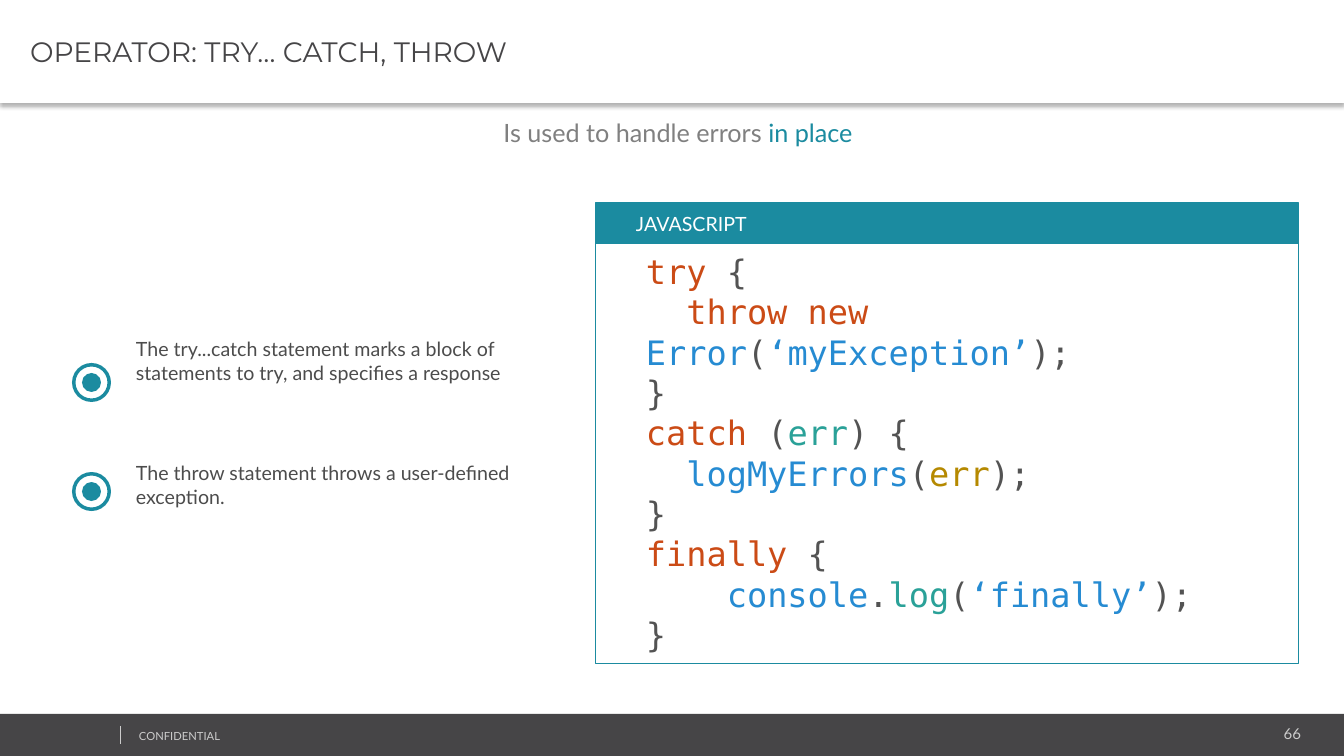
from lxml.etree import SubElement
from pptx import Presentation
from pptx.dml.color import RGBColor
from pptx.enum.shapes import MSO_CONNECTOR, MSO_SHAPE
from pptx.enum.text import MSO_ANCHOR, MSO_AUTO_SIZE, PP_ALIGN
from pptx.oxml.ns import qn
from pptx.util import Pt

PX = 914400 / 100.8
WIDTH, HEIGHT = 1344, 756
TEAL, DARK, PALE, WHITE = "1B8BA0", "464547", "CCCCCC", "FFFFFF"
PLAIN, RED, BLUE, GREEN, GOLD = "535353", "CB4B16", "268BD2", "2AA198", "B58900"

POINTS = [
    (332, 363, "The try...catch statement marks a block of statements to try, "
               "and specifies a response"),
    (456, 472, "The throw statement throws a user-defined exception."),
]

CODE = [
    [("try", RED), (" {", PLAIN)],
    [("  ", PLAIN), ("throw new ", RED), ("Error", BLUE), ("(", PLAIN),
     ("‘myException’", BLUE), (");", PLAIN)],
    [("}", PLAIN)],
    [("catch", RED), (" (", PLAIN), ("err", GREEN), (") {", PLAIN)],
    [("  ", PLAIN), ("logMyErrors", BLUE), ("(", PLAIN), ("err", GOLD), (");", PLAIN)],
    [("}", PLAIN)],
    [("finally", RED), (" {", PLAIN)],
    [("    ", PLAIN), ("console", BLUE), (".", PLAIN), ("log", GREEN), ("(", PLAIN),
     ("‘finally’", BLUE), (");", PLAIN)],
    [("}", PLAIN)],
]


def px(n):
    """Turn pixels into EMU."""
    return round(n * PX)


def rgb(code):
    """Turn a hex string into a colour."""
    return RGBColor.from_string(code)


def style(p, size, color=None, font="Lato", align=PP_ALIGN.LEFT):
    """Set the font and alignment of a paragraph."""
    p.alignment = align
    p.font.name = font
    p.font.size = Pt(size)
    if color:
        p.font.color.rgb = rgb(color)


def add_runs(p, runs):
    """Add coloured runs to a paragraph."""
    for text, color in runs:
        r = p.add_run()
        r.text = text
        r.font.color.rgb = rgb(color)


def add_text(s, x, y, w, h, wrap=True):
    """Add a text box and return its text frame."""
    tf = s.shapes.add_textbox(px(x), px(y), px(w), px(h)).text_frame
    tf.word_wrap = wrap
    return tf


def add_label(s, x, y, w, h, text, size, color, align=PP_ALIGN.LEFT):
    """Add a text box holding one plain paragraph."""
    p = add_text(s, x, y, w, h).paragraphs[0]
    p.text = text
    style(p, size, color, align=align)


def add_box(s, kind, x, y, w, h, fill=None, line=None):
    """Add a flat preset shape."""
    sp = s.shapes.add_shape(kind, px(x), px(y), px(w), px(h))
    sp.shadow.inherit = False
    if fill:
        sp.fill.solid()
        sp.fill.fore_color.rgb = rgb(fill)
    else:
        sp.fill.background()
    if line:
        sp.line.color.rgb = rgb(line)
        sp.line.width = Pt(0.75)
    else:
        sp.line.fill.background()
    return sp


def add_header(s, w, h):
    """Place the title in a white band with a soft shadow below."""
    sp = s.shapes.title
    sp.left, sp.top, sp.width, sp.height = 0, 0, px(w), px(h)
    sp.fill.solid()
    sp.fill.fore_color.rgb = rgb(WHITE)
    effects = SubElement(sp._element.spPr, qn("a:effectLst"))
    shadow = SubElement(effects, qn("a:outerShdw"), blurRad=str(Pt(3.1)),
                        dist=str(Pt(2)), dir="5400000", algn="t", rotWithShape="0")
    black = SubElement(shadow, qn("a:srgbClr"), val="000000")
    SubElement(black, qn("a:alpha"), val="30000")
    tf = sp.text_frame
    tf.auto_size = MSO_AUTO_SIZE.NONE
    tf.vertical_anchor = MSO_ANCHOR.MIDDLE
    tf.margin_left = px(30)
    tf.margin_top = tf.margin_bottom = px(4)
    tf.text = "OPERATOR: TRY… CATCH, THROW"
    style(tf.paragraphs[0], 20, DARK, "Montserrat")


def add_subtitle(s, x, y, w, h):
    """Place the centred line under the header."""
    p = add_text(s, x, y, w, h, wrap=False).paragraphs[0]
    add_runs(p, [("Is used to handle errors ", "808080"), ("in place", TEAL)])
    style(p, 18, align=PP_ALIGN.CENTER)


def add_points(s, x, w):
    """Place the statements with their target marks."""
    ring, dot = 39, 19
    gap = (ring - dot) // 2
    for text_y, mark_y, text in POINTS:
        add_label(s, x + 54, text_y, w - 54, 72, text, 14, "4C4C4C")
        add_box(s, MSO_SHAPE.OVAL, x + gap, mark_y + gap, dot, dot, TEAL)
        sp = add_box(s, MSO_SHAPE.DONUT, x, mark_y, ring, ring, TEAL)
        sp.adjustments[0] = 0.09


def add_code_panel(s, x, y, w, h):
    """Place the code listing with its language bar."""
    bar = 41
    tf = add_box(s, MSO_SHAPE.RECTANGLE, x, y, w, bar, TEAL, TEAL).text_frame
    tf.margin_left = px(40)
    tf.vertical_anchor = MSO_ANCHOR.MIDDLE
    tf.text = "JAVASCRIPT"
    style(tf.paragraphs[0], 14, WHITE)
    add_box(s, MSO_SHAPE.RECTANGLE, x, y + bar, w, h - bar, line=TEAL)
    tf = add_text(s, x + 40, y + bar + 2, w - 41, h - bar - 2)
    for i, runs in enumerate(CODE):
        p = tf.add_paragraph() if i else tf.paragraphs[0]
        add_runs(p, runs)
        style(p, 24, font="DejaVu Sans Mono")
        p.line_spacing = Pt(28.8)


def add_footer(s, y, w, h):
    """Place the dark strip with the notice and page number."""
    add_box(s, MSO_SHAPE.RECTANGLE, 0, y, w, h, DARK)
    add_label(s, w - 253, y + 6, 220, 28, "66", 10.7, PALE, PP_ALIGN.RIGHT)
    add_label(s, 129, y + 10, 341, 24, "CONFIDENTIAL", 8, PALE)
    rule = s.shapes.add_connector(MSO_CONNECTOR.STRAIGHT,
                                  px(120), px(y + 12), px(120), px(y + 30))
    rule.line.color.rgb = rgb(PALE)
    rule.line.width = Pt(0.25)
    SubElement(rule._element.spPr, qn("a:effectLst"))


def main():
    """Build and save the slide."""
    prs = Presentation()
    prs.slide_width, prs.slide_height = px(WIDTH), px(HEIGHT)
    s = prs.slides.add_slide(prs.slide_layouts[5])
    add_header(s, WIDTH, 103)
    add_subtitle(s, 485, 112, 386, 40)
    add_points(s, 72, 485)
    add_code_panel(s, 596, 203, 703, 461)
    add_footer(s, 714, WIDTH, 42)
    prs.save("out.pptx")


if __name__ == "__main__":
    main()
